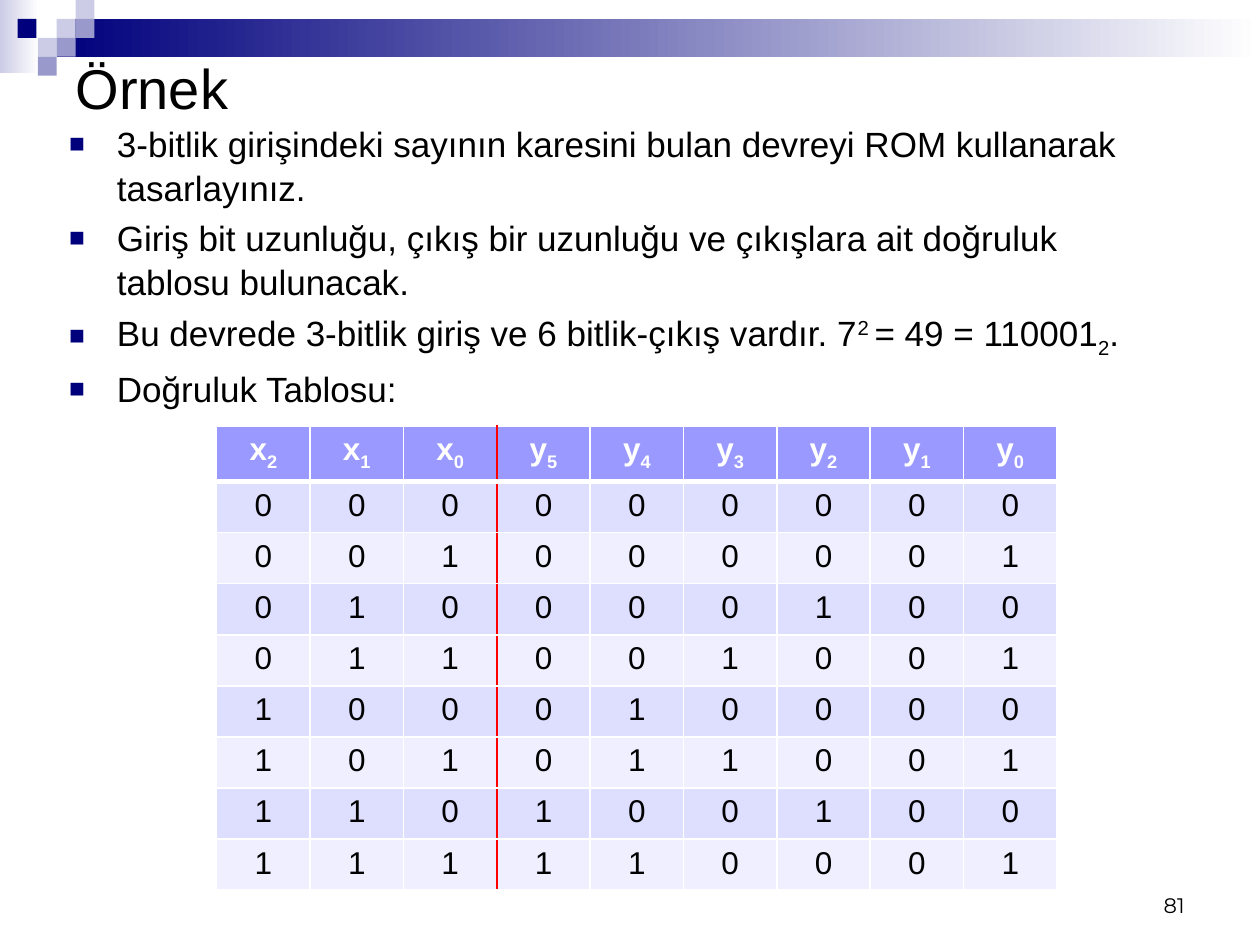
import dataclasses

import lxml.etree
import pptx
import pptx.dml.color
import pptx.enum.shapes
import pptx.enum.text
import pptx.oxml.ns
import pptx.util

Inches = pptx.util.Inches
Pt = pptx.util.Pt
Align = pptx.enum.text.PP_ALIGN
Anchor = pptx.enum.text.MSO_ANCHOR


@dataclasses.dataclass(frozen=True)
class Theme:
    font: str = "Arial"
    number_font: str = "Montserrat"
    text: str = "000000"
    white: str = "FFFFFF"
    navy: str = "00007D"
    lavender: str = "CCCCE6"
    violet: str = "9999CC"
    header: str = "9999FF"
    bands: tuple = ("DEDEFF", "EFEFFF")
    divider: str = "FF0000"
    title_size: int = 32
    body_size: int = 20
    table_size: int = 18
    number_size: int = 12


THEME = Theme()
SUPERSCRIPT, SUBSCRIPT = 30, -25
INPUT_BITS, OUTPUT_BITS = 3, 6

TASKS = [
    [("3-bitlik girişindeki sayının karesini bulan devreyi ROM kullanarak tasarlayınız.", 0)],
    [("Giriş bit uzunluğu, çıkış bir uzunluğu ve çıkışlara ait doğruluk tablosu bulunacak.", 0)],
    [("Bu devrede 3-bitlik giriş ve 6 bitlik-çıkış vardır. 7", 0), ("2 ", SUPERSCRIPT),
     ("= 49 = 110001", 0), ("2", SUBSCRIPT), (".", 0)],
    [("Doğruluk Tablosu:", 0)],
]


def rgb(value):
    return pptx.dml.color.RGBColor.from_string(value)


def add_xml(parent, tag, **attributes):
    return lxml.etree.SubElement(parent, pptx.oxml.ns.qn(tag), attributes)


def write(paragraph, pieces, size=THEME.body_size, color=THEME.text,
          font=THEME.font, bold=False, align=Align.LEFT):
    paragraph.alignment = align
    for text, baseline in pieces:
        run = paragraph.add_run()
        run.text = text
        run.font.name = font
        run.font.size = Pt(size)
        run.font.bold = bold
        run.font.color.rgb = rgb(color)
        if baseline:
            run.font._element.set("baseline", str(baseline * 1000))


def add_bullet(paragraph):
    properties = paragraph._p.get_or_add_pPr()
    properties.set("marL", str(Inches(0.38)))
    properties.set("indent", str(-Inches(0.38)))
    add_xml(add_xml(properties, "a:buClr"), "a:srgbClr", val=THEME.navy)
    add_xml(properties, "a:buSzPct", val="75000")
    add_xml(properties, "a:buFont", typeface=THEME.font)
    add_xml(properties, "a:buChar", char="■")


def add_block(slide, left, top, width, height, color, fade_to=None):
    block = slide.shapes.add_shape(
        pptx.enum.shapes.MSO_SHAPE.RECTANGLE,
        Inches(left), Inches(top), Inches(width), Inches(height))
    block.shadow.inherit = False
    block.line.fill.background()
    if fade_to:
        block.fill.gradient()
        block.fill.gradient_angle = 0
        for stop, stop_color in zip(block.fill.gradient_stops, (color, fade_to)):
            stop.color.rgb = rgb(stop_color)
    else:
        block.fill.solid()
        block.fill.fore_color.rgb = rgb(color)


def add_banner(slide):
    add_block(slide, 0, 0, 0.31, 0.58, THEME.lavender, THEME.white)
    add_block(slide, 0.45, 0.15, 9.55, 0.3, THEME.navy, THEME.white)
    side = 0.15
    for column, row, color in [
        (3, 1, THEME.lavender), (4, 0, THEME.lavender), (4, 1, THEME.violet),
        (2, 2, THEME.lavender), (0.93, 1, THEME.navy), (3, 2, THEME.violet),
        (2, 3, THEME.violet),
    ]:
        add_block(slide, column * side, row * side, side, side, color)


def set_title(slide, text):
    title = slide.shapes.title
    title.left, title.top = Inches(0.5), Inches(0.43)
    title.width, title.height = Inches(9), Inches(0.52)
    title.text_frame.vertical_anchor = Anchor.MIDDLE
    write(title.text_frame.paragraphs[0], [(text, 0)], size=THEME.title_size)


def add_text_frame(slide, left, top, width, height, anchor=Anchor.TOP):
    frame = slide.shapes.add_textbox(
        Inches(left), Inches(top), Inches(width), Inches(height)).text_frame
    frame.word_wrap = True
    frame.vertical_anchor = anchor
    return frame


def add_tasks(slide):
    frame = add_text_frame(slide, 0.45, 0.91, 9, 4.25)
    for index, pieces in enumerate(TASKS):
        paragraph = frame.add_paragraph() if index else frame.paragraphs[0]
        add_bullet(paragraph)
        paragraph.line_spacing = 1.04
        if index:
            paragraph.space_before = Pt(4)
        write(paragraph, pieces)


def add_page_number(slide, number):
    frame = add_text_frame(slide, 7.17, 6.83, 2.33, 0.5, anchor=Anchor.BOTTOM)
    write(frame.paragraphs[0], [(number, 0)], size=THEME.number_size,
          font=THEME.number_font, align=Align.RIGHT)


def set_borders(cell, row, column):
    left = THEME.divider if column == INPUT_BITS else THEME.white
    right = THEME.divider if column == INPUT_BITS - 1 else THEME.white
    top_width = 3 if row == 1 else 1
    bottom_width = 3 if row == 0 else 1
    for tag, color, width in [
        ("a:lnL", left, 1), ("a:lnR", right, 1),
        ("a:lnT", THEME.white, top_width), ("a:lnB", THEME.white, bottom_width),
    ]:
        border = add_xml(cell._tc.get_or_add_tcPr(), tag, w=str(Pt(width)))
        add_xml(add_xml(border, "a:solidFill"), "a:srgbClr", val=color)


def truth_rows():
    yield [[(name, 0), (str(bit), SUBSCRIPT)]
           for name, bits in (("x", INPUT_BITS), ("y", OUTPUT_BITS))
           for bit in reversed(range(bits))]
    for number in range(2 ** INPUT_BITS):
        bits = f"{number:0{INPUT_BITS}b}{number ** 2:0{OUTPUT_BITS}b}"
        yield [[(bit, 0)] for bit in bits]


def add_truth_table(slide):
    rows = list(truth_rows())
    table = slide.shapes.add_table(
        len(rows), len(rows[0]),
        Inches(1.72), Inches(3.38), Inches(6.67), Inches(3.65)).table
    for row, values in enumerate(rows):
        heading = row == 0
        for column, pieces in enumerate(values):
            cell = table.cell(row, column)
            set_borders(cell, row, column)
            cell.fill.solid()
            cell.fill.fore_color.rgb = rgb(
                THEME.header if heading else THEME.bands[(row - 1) % 2])
            write(cell.text_frame.paragraphs[0], pieces, size=THEME.table_size,
                  color=THEME.white if heading else THEME.text,
                  bold=heading, align=Align.CENTER)


def main():
    presentation = pptx.Presentation()
    presentation.slide_width = Inches(10)
    presentation.slide_height = Inches(7.5)
    slide = presentation.slides.add_slide(presentation.slide_layouts[5])
    add_banner(slide)
    set_title(slide, "Örnek")
    add_tasks(slide)
    add_page_number(slide, "81")
    add_truth_table(slide)
    presentation.save("out.pptx")


if __name__ == "__main__":
    main()
